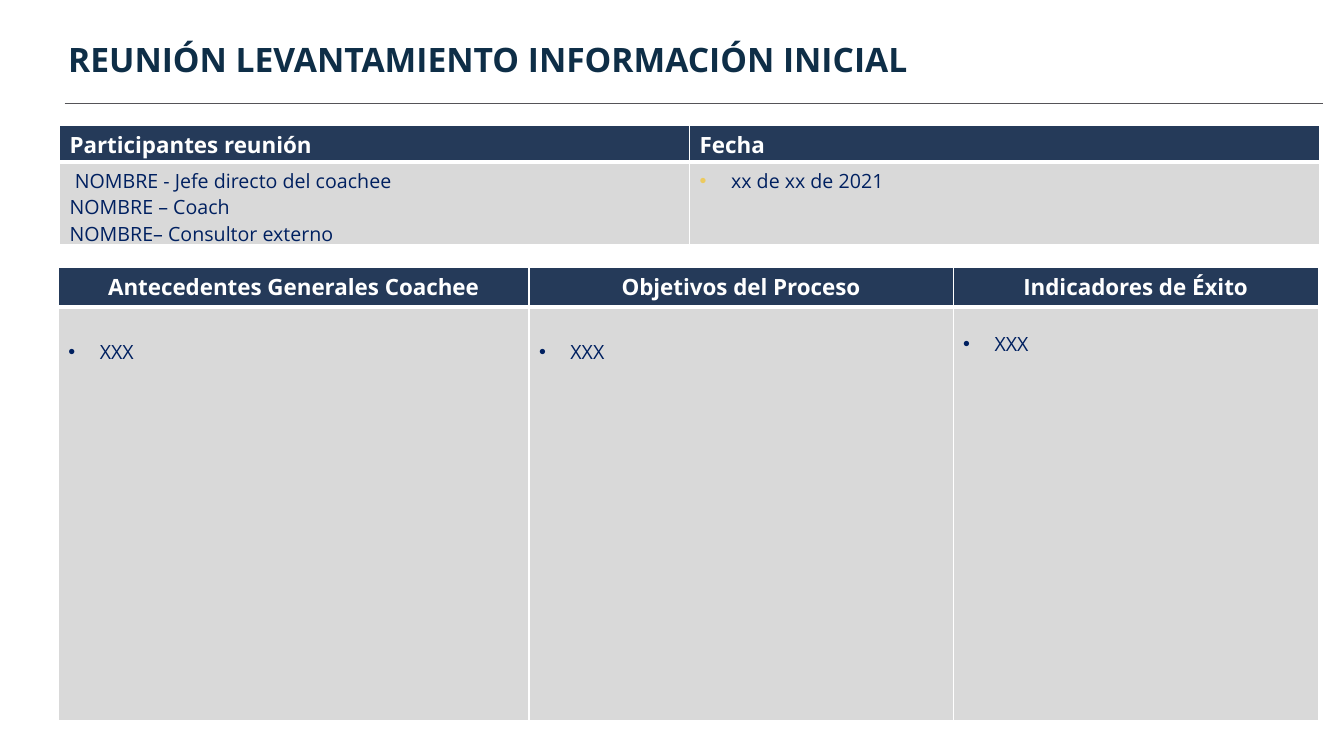
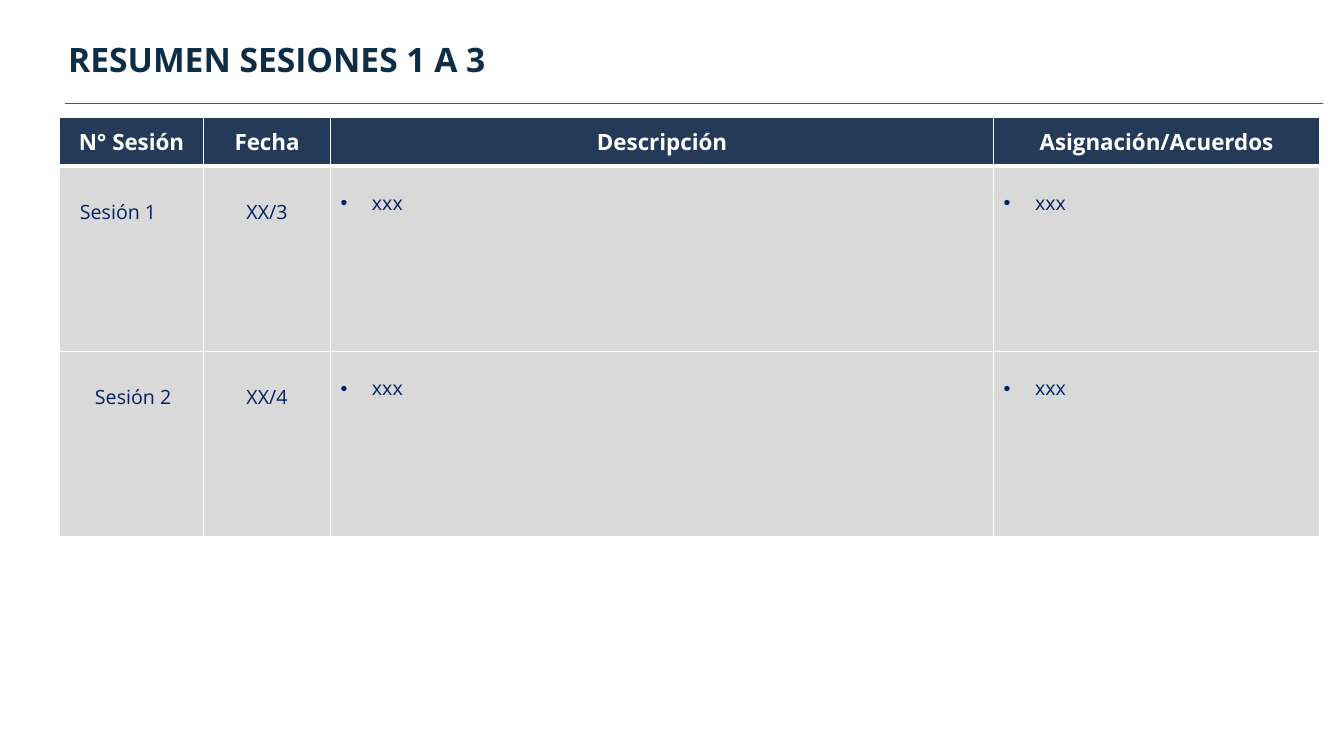
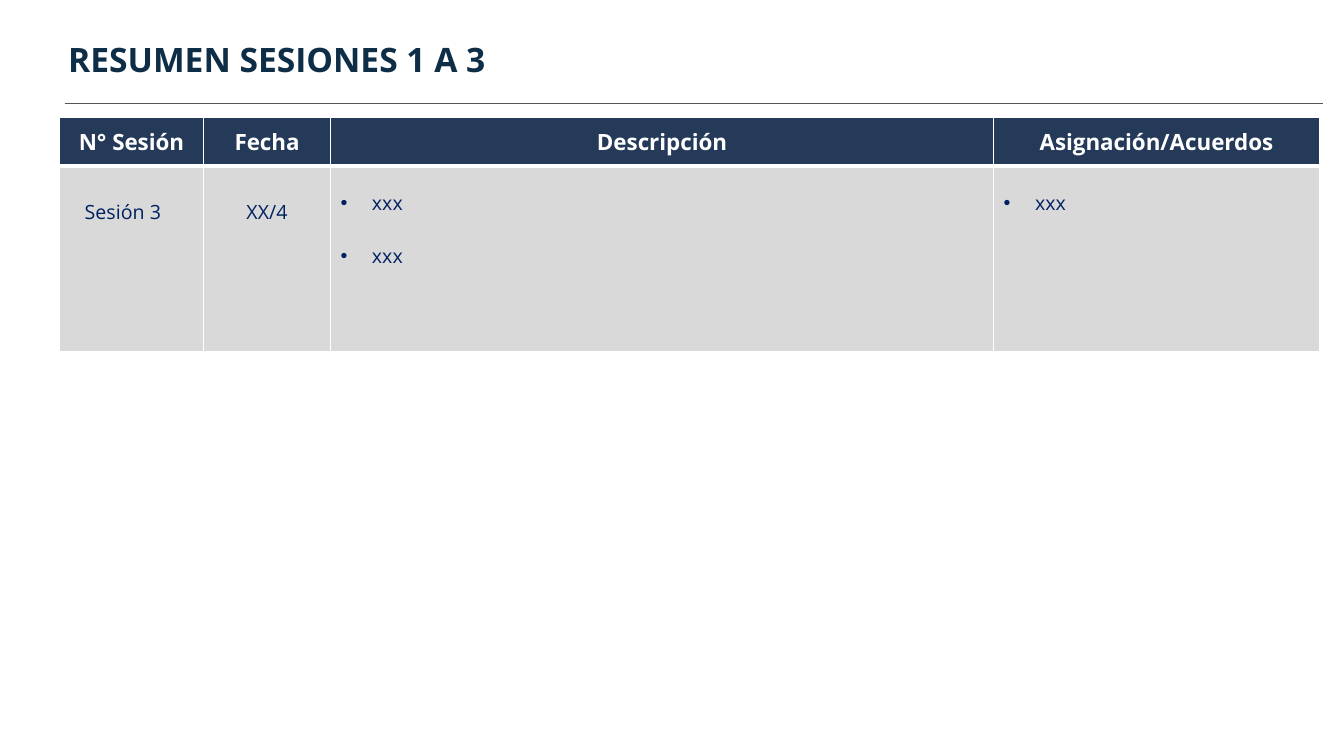
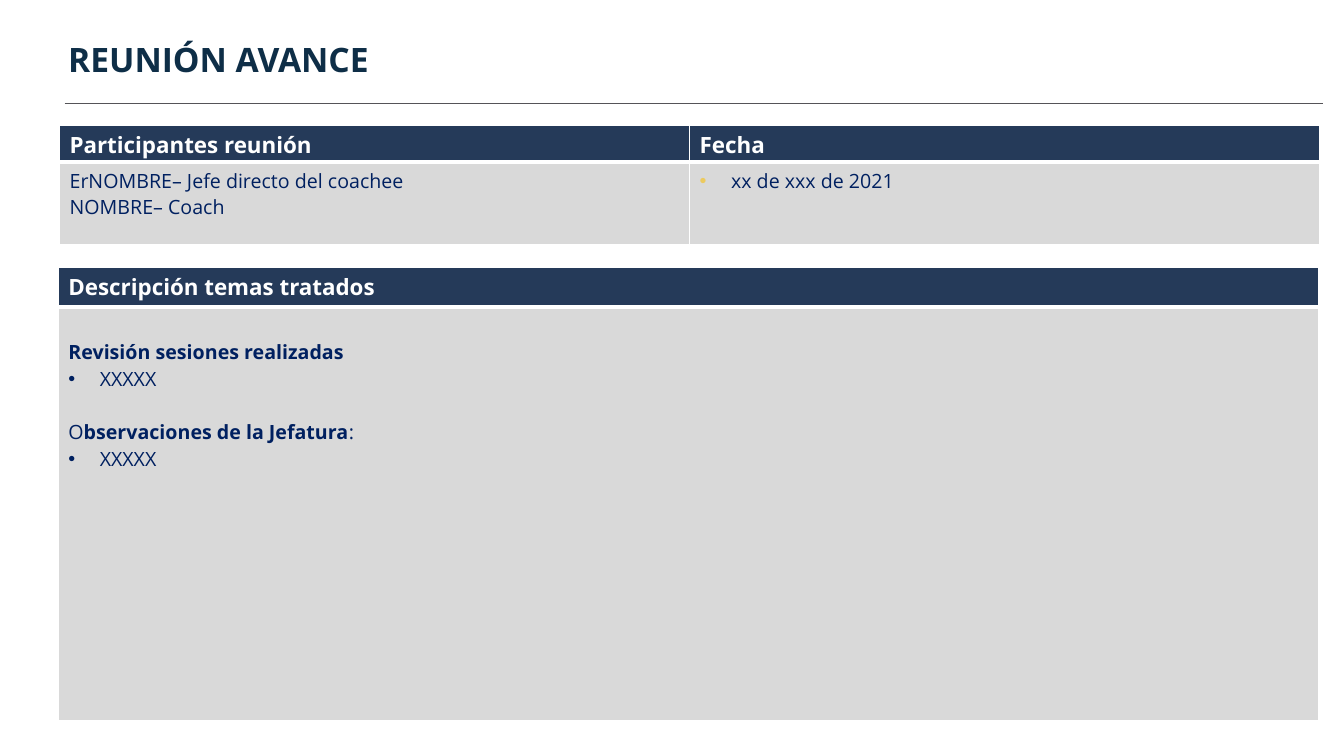
from dataclasses import dataclass

from lxml import etree
from pptx import Presentation
from pptx.dml.color import RGBColor
from pptx.enum.shapes import MSO_CONNECTOR
from pptx.enum.text import MSO_ANCHOR, MSO_AUTO_SIZE, PP_ALIGN
from pptx.oxml.ns import qn
from pptx.util import Cm, Pt

STRAIGHT = MSO_CONNECTOR.STRAIGHT
TOP, MIDDLE = MSO_ANCHOR.TOP, MSO_ANCHOR.MIDDLE
FIT_SHAPE = MSO_AUTO_SIZE.SHAPE_TO_FIT_TEXT
LEFT, CENTER, JUSTIFY = PP_ALIGN.LEFT, PP_ALIGN.CENTER, PP_ALIGN.JUSTIFY


@dataclass(frozen=True)
class Theme:
    font: str = "Open Sans"
    title: str = "0E2E47"
    rule: str = "555458"
    header_fill: str = "253A59"
    body_fill: str = "D9D9D9"
    body_text: str = "002060"
    white: str = "FFFFFF"
    accent: str = "ECCA5F"
    title_size: float = 24
    header_size: float = 16
    body_size: float = 14
    border: float = 1
    header_border: float = 3
    rule_width: float = 0.75
    bullet_indent: float = 0.79
    top_margin: float = 0.13
    lowered_margin: float = 0.8


THEME = Theme()


@dataclass(frozen=True)
class Run:
    text: str
    bold: bool = False


@dataclass(frozen=True)
class Line:
    runs: tuple[Run, ...]
    align: PP_ALIGN = JUSTIFY
    bullet: bool = False
    bullet_color: str = THEME.body_text
    indent: float = 0
    spacing: float | None = None
    before: float = 0
    after: float = 0


@dataclass(frozen=True)
class CellContent:
    lines: tuple[Line, ...]
    lowered: bool = True


@dataclass(frozen=True)
class TableBlock:
    left: float
    top: float
    columns: tuple[float, ...]
    heights: tuple[float, ...]
    headers: tuple[str, ...]
    rows: tuple[tuple[CellContent, ...], ...]
    header_align: PP_ALIGN = CENTER


@dataclass(frozen=True)
class Page:
    title: str
    title_width: float
    tables: tuple[TableBlock, ...]


def plain(text: str, **options) -> Line:
    return Line((Run(text),), **options)


def bullet(text: str, **options) -> Line:
    return plain(text, bullet=True, **options)


def tight_bullets(*texts: str) -> CellContent:
    return CellContent(tuple(
        bullet(text, spacing=13, before=19 if index else 0, after=6)
        for index, text in enumerate(texts)))


def session_row(label: str, indent: float, date: str, descriptions: tuple[str, ...],
                agreement: str) -> tuple[CellContent, ...]:
    return (CellContent((plain(label, indent=indent),)),
            CellContent((plain(date, align=CENTER),)),
            tight_bullets(*descriptions), tight_bullets(agreement))


def session_table(*rows: tuple[CellContent, ...]) -> TableBlock:
    return TableBlock(1.5, 2.97, (3.63, 3.2, 16.71, 8.21), (1.22,) + (4.67,) * len(rows),
                      ("N° Sesión", "Fecha", "Descripción", "Asignación/Acuerdos"), rows)


def meeting_table(people: tuple[Line, ...], date: str) -> TableBlock:
    date_line = bullet(date, bullet_color=THEME.accent)
    return TableBlock(1.5, 3.15, (15.88, 15.88), (0.91, 2.08),
                      ("Participantes reunión", "Fecha"),
                      ((CellContent(people, False), CellContent((date_line,), False)),), LEFT)


def detail_table(columns: tuple[float, ...], headers: tuple[str, ...],
                 cells: tuple[CellContent, ...], align: PP_ALIGN = CENTER) -> TableBlock:
    return TableBlock(1.47, 6.73, columns, (1, 10.44), headers, (cells,), align)


def add_text(paragraph, text: str, *, size: float, color: str, bold: bool = False) -> None:
    run = paragraph.add_run()
    run.text = text
    run.font.name = THEME.font
    run.font.size = Pt(size)
    run.font.bold = bold
    run.font.color.rgb = RGBColor.from_string(color)


def add_color(parent, tag: str, color: str) -> None:
    etree.SubElement(etree.SubElement(parent, qn(tag)), qn("a:srgbClr"), val=color)


def format_paragraph(paragraph, line: Line) -> None:
    paragraph.alignment = line.align
    if line.spacing:
        paragraph.line_spacing = Pt(line.spacing)
    paragraph.space_before = Pt(line.before)
    paragraph.space_after = Pt(line.after)
    properties = paragraph._p.get_or_add_pPr()
    indent = THEME.bullet_indent if line.bullet else line.indent
    properties.set("marL", str(Cm(indent)))
    properties.set("indent", str(-Cm(indent) if line.bullet else 0))
    if line.bullet:
        add_color(properties, "a:buClr", line.bullet_color)
        etree.SubElement(properties, qn("a:buFont"), typeface="Arial")
        etree.SubElement(properties, qn("a:buChar"), char="•")


def style_cell(cell, fill: str, bottom: float) -> None:
    properties = cell._tc.get_or_add_tcPr()
    for side in "LRTB":
        width = bottom if side == "B" else THEME.border
        border = etree.SubElement(properties, qn(f"a:ln{side}"), w=str(Pt(width)))
        add_color(border, "a:solidFill", THEME.white)
    cell.fill.solid()
    cell.fill.fore_color.rgb = RGBColor.from_string(fill)


def fill_header(cell, text: str, align: PP_ALIGN) -> None:
    style_cell(cell, THEME.header_fill, THEME.header_border)
    cell.vertical_anchor = MIDDLE
    paragraph = cell.text_frame.paragraphs[0]
    paragraph.alignment = align
    add_text(paragraph, text, size=THEME.header_size, color=THEME.white, bold=True)


def fill_body(cell, content: CellContent) -> None:
    style_cell(cell, THEME.body_fill, THEME.border)
    cell.vertical_anchor = TOP
    cell.margin_top = Cm(THEME.lowered_margin if content.lowered else THEME.top_margin)
    frame = cell.text_frame
    for index, line in enumerate(content.lines):
        paragraph = frame.add_paragraph() if index else frame.paragraphs[0]
        format_paragraph(paragraph, line)
        for run in line.runs:
            add_text(paragraph, run.text, size=THEME.body_size, color=THEME.body_text,
                     bold=run.bold)


def draw_table(slide, block: TableBlock) -> None:
    shape = slide.shapes.add_table(
        len(block.heights), len(block.columns), Cm(block.left), Cm(block.top),
        Cm(sum(block.columns)), Cm(sum(block.heights)))
    table = shape.table
    table.horz_banding = False
    for column, width in zip(table.columns, block.columns):
        column.width = Cm(width)
    for row, height in zip(table.rows, block.heights):
        row.height = Cm(height)
    for index, header in enumerate(block.headers):
        fill_header(table.cell(0, index), header, block.header_align)
    for row_index, contents in enumerate(block.rows, 1):
        for column_index, content in enumerate(contents):
            fill_body(table.cell(row_index, column_index), content)


def draw_heading(slide, title: str, width: float) -> None:
    rule = slide.shapes.add_connector(STRAIGHT, Cm(1.63), Cm(2.62), Cm(33.35), Cm(2.62))
    rule.line.color.rgb = RGBColor.from_string(THEME.rule)
    rule.line.width = Pt(THEME.rule_width)
    etree.SubElement(rule._element.spPr, qn("a:effectLst"))
    box = slide.shapes.add_textbox(Cm(1.47), Cm(0.86), Cm(width), Cm(1.27))
    frame = box.text_frame
    frame.word_wrap = True
    frame.auto_size = FIT_SHAPE
    add_text(frame.paragraphs[0], title, size=THEME.title_size, color=THEME.title, bold=True)


PAGES = (
    Page("REUNIÓN LEVANTAMIENTO INFORMACIÓN INICIAL", 24.33, (
        detail_table(
            (11.86, 10.69, 9.2),
            ("Antecedentes Generales Coachee", "Objetivos del Proceso", "Indicadores de Éxito"),
            (CellContent((bullet("XXX"),)), CellContent((bullet("XXX", align=LEFT),)),
             tight_bullets("XXX"))),
        meeting_table((plain("NOMBRE - Jefe directo del coachee", indent=0.13),
                       plain("NOMBRE – Coach"),
                       plain("NOMBRE– Consultor externo")), "xx de xx de 2021"))),
    Page("RESUMEN SESIONES 1 A 3", 14.05, (
        session_table(session_row("Sesión 1", 0.26, "XX/3", ("xxx",), "xxx"),
                      session_row("Sesión 2", 0.64, "XX/4", ("xxx",), "xxx")),)),
    Page("RESUMEN SESIONES 1 A 3", 14.05, (
        session_table(session_row("Sesión 3", 0.38, "XX/4", ("xxx", "xxx"), "xxx")),)),
    Page("REUNIÓN AVANCE", 24.33, (
        detail_table(
            (31.75,), ("Descripción temas tratados",),
            (CellContent((
                Line((Run("Revisión sesiones realizadas", True),)),
                bullet("XXXXX"),
                Line((Run("O"), Run("bservaciones de la Jefatura", True), Run(":")), before=19),
                bullet("XXXXX"))),), LEFT),
        meeting_table((plain("ErNOMBRE– Jefe directo del coachee"),
                       plain("NOMBRE– Coach")), "xx de xxx de 2021"))),
)


def main() -> None:
    presentation = Presentation()
    presentation.slide_width, presentation.slide_height = Cm(33.87), Cm(19.05)
    blank = presentation.slide_layouts[6]
    for page in PAGES:
        slide = presentation.slides.add_slide(blank)
        draw_heading(slide, page.title, page.title_width)
        for block in page.tables:
            draw_table(slide, block)
    presentation.save("out.pptx")


if __name__ == "__main__":
    main()
